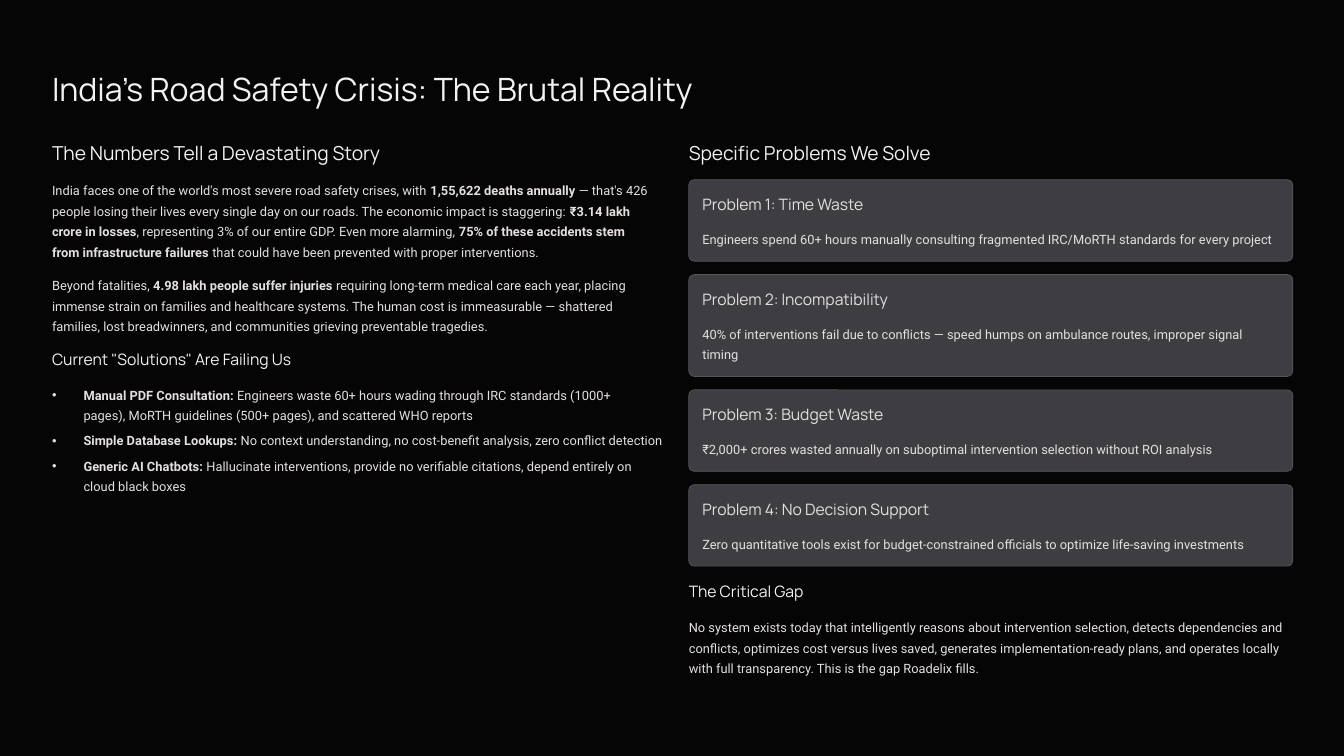
from pptx import Presentation
from pptx import util as u
from pptx.dml.color import RGBColor
from pptx.enum import shapes, text

Pt = u.Pt
HEX = {"back": "050505", "head": "F2F2F3", "body": "E5E0DF",
       "card": "3D3D42", "edge": "56565B"}
STYLES = {"title": ("Manrope", 27.5, 34.5), "large": ("Manrope", 16.5, 20.5),
          "small": ("Manrope", 13.5, 17), "body": ("Roboto", 11, 17.5)}
LEFT, RIGHT, WIDE = 44.6, 590.4, 517.7
PAD, GAP = 11.6, 11.5

STORY = [
    (152.6, "India faces one of the world's most severe road safety crises, with "
     "*1,55,622 deaths annually* — that's 426 people losing their lives every single "
     "day on our roads. The economic impact is staggering: *₹3.14 lakh crore in "
     "losses*, representing 3% of our entire GDP. Even more alarming, *75% of these "
     "accidents stem from infrastructure failures* that could have been prevented "
     "with proper interventions."),
    (234, "Beyond fatalities, *4.98 lakh people suffer injuries* requiring long-term "
     "medical care each year, placing immense strain on families and healthcare "
     "systems. The human cost is immeasurable — shattered families, lost "
     "breadwinners, and communities grieving preventable tragedies."),
]
FAILS = [
    "*Manual PDF Consultation:* Engineers waste 60+ hours wading through IRC "
    "standards (1000+ \npages), MoRTH guidelines (500+ pages), and scattered WHO reports",
    "*Simple Database Lookups:* No context understanding, no cost-benefit analysis, "
    "zero conflict detection",
    "*Generic AI Chatbots:* Hallucinate interventions, provide no verifiable "
    "citations, depend entirely on \ncloud black boxes",
]
CARDS = [
    ("Problem 1: Time Waste", 1, "Engineers spend 60+ hours manually consulting "
     "fragmented IRC/MoRTH standards for every project"),
    ("Problem 2: Incompatibility", 2, "40% of interventions fail due to conflicts — "
     "speed humps on ambulance routes, improper signal timing"),
    ("Problem 3: Budget Waste", 1, "₹2,000+ crores wasted annually on suboptimal "
     "intervention selection without ROI analysis"),
    ("Problem 4: No Decision Support", 1, "Zero quantitative tools exist for "
     "budget-constrained officials to optimize life-saving investments"),
]
GAPTEXT = ("No system exists today that intelligently reasons about intervention "
           "selection, detects dependencies and conflicts, optimizes cost versus lives "
           "saved, generates implementation-ready plans, and operates locally with "
           "full transparency. This is the gap Roadelix fills.")


def color(name):
    return RGBColor.from_string(HEX[name])


def place(box, x, y, w, h):
    box.left, box.top, box.width, box.height = Pt(x), Pt(y), Pt(w), Pt(h)


def setup(box):
    frame = box.text_frame
    frame.margin_left = frame.margin_right = 0
    frame.margin_top = frame.margin_bottom = 0
    frame.word_wrap = True
    frame.auto_size = text.MSO_AUTO_SIZE.NONE
    frame.vertical_anchor = text.MSO_ANCHOR.TOP
    return frame


def write(para, words, style, tone, before=0):
    face, size, line = STYLES[style]
    para.alignment = text.PP_ALIGN.LEFT
    para.line_spacing = Pt(line)
    para.space_before = Pt(before)
    for part, chunk in enumerate(words.split("*")):
        for row, piece in enumerate(chunk.split("\n")):
            if row:
                para.add_line_break()
            if piece:
                run = para.add_run()
                run.text = piece
                run.font.name = face
                run.font.size = Pt(size)
                run.font.bold = part % 2 == 1
                run.font.color.rgb = color(tone)


def label(slide, x, y, w, words, style, tone, rows=1):
    high = STYLES[style][2] * rows
    box = slide.shapes.add_textbox(Pt(x), Pt(y), Pt(w), Pt(high))
    write(setup(box).paragraphs[0], words, style, tone)


def title(slide, words):
    box = slide.shapes.title
    place(box, LEFT, 57.6, 589.7, 35.3)
    write(setup(box).paragraphs[0], words, "title", "head")


def bullets(slide, items):
    box = slide.placeholders[1]
    place(box, LEFT, 327.6, 533, 97.2)
    frame = setup(box)
    for num, words in enumerate(items):
        para = frame.add_paragraph() if num else frame.paragraphs[0]
        props = para._p.get_or_add_pPr()
        props.set("marL", str(Pt(27)))
        props.set("indent", str(Pt(-27)))
        write(para, words, "body", "body", 4.4 if num else 0)


def card(slide, y, head, rows, words):
    high = 52.3 + 17.5 * rows
    box = slide.shapes.add_shape(shapes.MSO_SHAPE.ROUNDED_RECTANGLE,
                                 Pt(RIGHT), Pt(y), Pt(WIDE), Pt(high))
    box.shadow.inherit = False
    box.adjustments[0] = 4.7 / high
    box.fill.solid()
    box.fill.fore_color.rgb = color("card")
    box.line.color.rgb = color("edge")
    box.line.width = Pt(0.6)
    inner = WIDE - 2 * PAD
    label(slide, RIGHT + PAD, y + 11.8, inner, head, "small", "body")
    label(slide, RIGHT + PAD, y + 40.2, inner, words, "body", "body", rows)
    return y + high + GAP


def main():
    deck = Presentation()
    deck.slide_width, deck.slide_height = Pt(1152), Pt(648)
    slide = deck.slides.add_slide(deck.slide_layouts[1])
    slide.background.fill.solid()
    slide.background.fill.fore_color.rgb = color("back")

    title(slide, "India's Road Safety Crisis: The Brutal Reality")
    label(slide, LEFT, 120.2, WIDE, "The Numbers Tell a Devastating Story",
          "large", "head")
    for (y, words), rows in zip(STORY, (4, 3)):
        label(slide, LEFT, y, WIDE, words, "body", "body", rows)
    label(slide, LEFT, 298.8, WIDE, 'Current "Solutions" Are Failing Us',
          "small", "head")
    bullets(slide, FAILS)

    label(slide, RIGHT, 120.2, WIDE, "Specific Problems We Solve", "large", "head")
    y = 154.1
    for head, rows, words in CARDS:
        y = card(slide, y, head, rows, words)
    label(slide, RIGHT, 498.2, WIDE, "The Critical Gap", "small", "head")
    label(slide, RIGHT, 527, WIDE, GAPTEXT, "body", "body", 3)
    deck.save("out.pptx")


if __name__ == "__main__":
    main()
